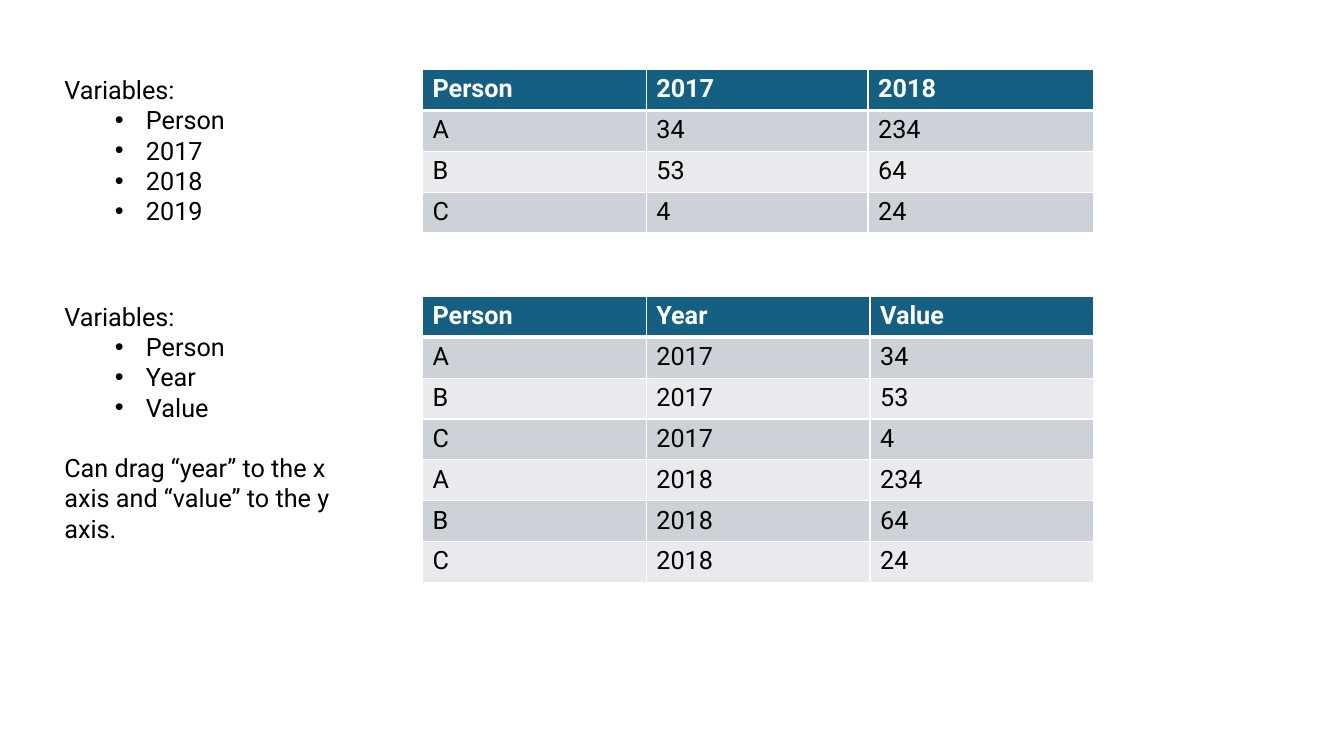
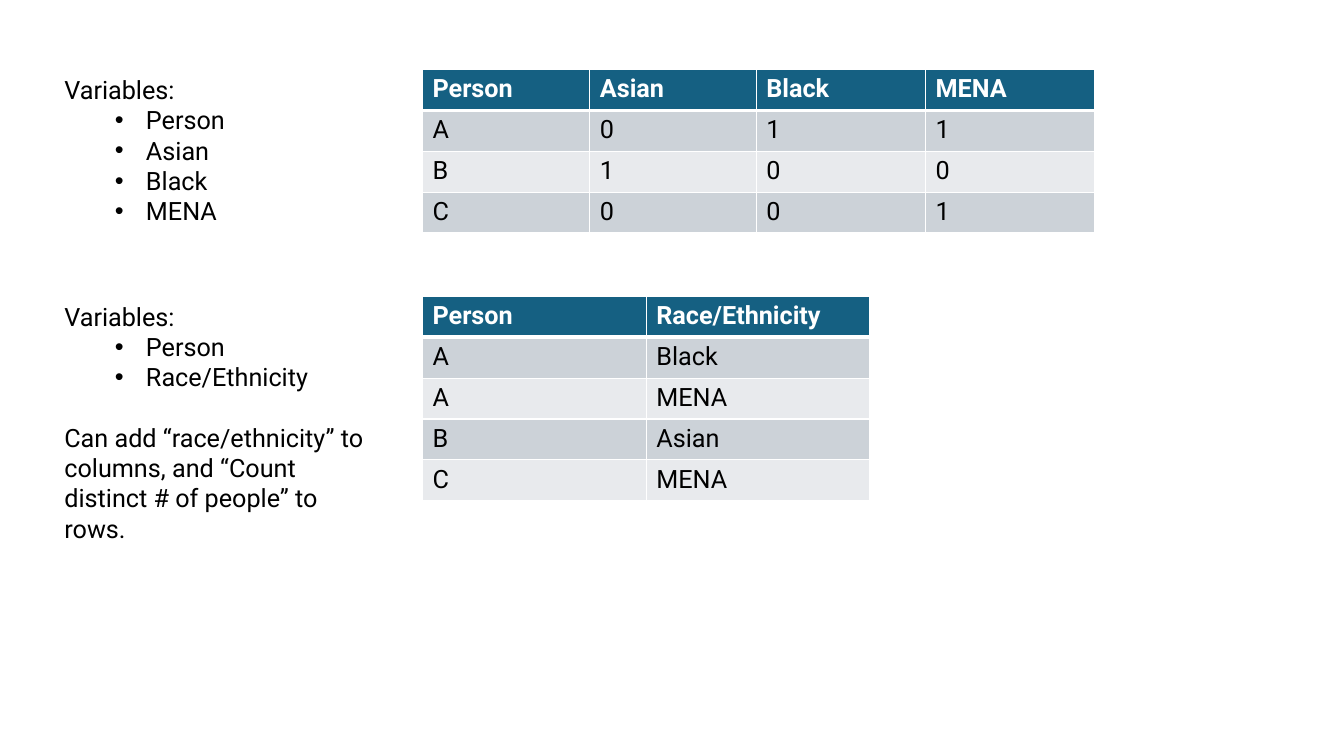
from dataclasses import dataclass
from itertools import product

from lxml import etree
from pptx import Presentation, util as u
from pptx.dml.color import RGBColor
from pptx.enum import text
from pptx.oxml.ns import qn

# Content: per slide, (variables, remark, table rows, column widths in inches)
SLIDES = [
    [
        (["Person", "2017", "2018", "2019"], None,
         [("Person", "2017", "2018"),
          ("A", "34", "234"),
          ("B", "53", "64"),
          ("C", "4", "24")],
         (2.22, 2.2, 2.24)),
        (["Person", "Year", "Value"],
         "Can drag “year” to the x axis and “value” to the y axis.",
         [("Person", "Year", "Value"),
          ("A", "2017", "34"),
          ("B", "2017", "53"),
          ("C", "2017", "4"),
          ("A", "2018", "234"),
          ("B", "2018", "64"),
          ("C", "2018", "24")],
         (2.22, 2.22, 2.22)),
    ],
    [
        (["Person", "Asian", "Black", "MENA"], None,
         [("Person", "Asian", "Black", "MENA"),
          ("A", "0", "1", "1"),
          ("B", "1", "0", "0"),
          ("C", "0", "0", "1")],
         (1.66, 1.65, 1.68, 1.68)),
        (["Person", "Race/Ethnicity"],
         "Can add “race/ethnicity” to columns, and “Count distinct # of people” to rows.",
         [("Person", "Race/Ethnicity"),
          ("A", "Black"),
          ("A", "MENA"),
          ("B", "Asian"),
          ("C", "MENA")],
         (2.22, 2.22)),
    ],
]


@dataclass(frozen=True)
class Theme:
    font: str = "Roboto"
    size: float = 18
    ink: str = "000000"
    white: str = "FFFFFF"
    header: str = "156082"
    bands: tuple = ("E8EAED", "CCD2D8")
    grid_line: float = 1
    header_line: float = 3


THEME = Theme()

# Layout: notes on the left, tables on the right, in two sections
SECTION_TOPS = (0.69, 2.94)
NOTES_LEFT, NOTES_WIDTH = 0.54, 3.24
TABLE_LEFT = 4.19
ROW_HEIGHT = u.Pt(29.2)
LINE_HEIGHT = 0.3
BULLET_INDENT, BULLET_HANG = 0.81, -0.31


def style(paragraph, color=THEME.ink, bold=False):
    font = paragraph.font
    font.name, font.size, font.bold = THEME.font, u.Pt(THEME.size), bold
    font.color.rgb = RGBColor.from_string(color)


def add_bullet(paragraph):
    props = paragraph._p.get_or_add_pPr()
    props.set("marL", str(u.Inches(BULLET_INDENT)))
    props.set("indent", str(u.Inches(BULLET_HANG)))
    # Bullet elements come before the default run properties
    for position, (tag, key, value) in enumerate(
            [("a:buFont", "typeface", "Arial"), ("a:buChar", "char", "•")]):
        bullet = etree.Element(qn(tag))
        bullet.set(key, value)
        props.insert(position, bullet)


def add_notes(slide, top, variables, remark):
    box = slide.shapes.add_textbox(
        u.Inches(NOTES_LEFT), u.Inches(top), u.Inches(NOTES_WIDTH),
        u.Inches(0.1 + LINE_HEIGHT * (len(variables) + 1)))
    frame = box.text_frame
    frame.word_wrap = True
    frame.auto_size = text.MSO_AUTO_SIZE.SHAPE_TO_FIT_TEXT
    heading = frame.paragraphs[0]
    heading.text = "Variables:"
    style(heading)
    for variable in variables:
        item = frame.add_paragraph()
        item.text = variable
        style(item)
        add_bullet(item)
    if remark:
        closing = frame.add_paragraph()
        closing.text = remark
        style(closing)
        closing.space_before = u.Pt(LINE_HEIGHT * 72)


def add_borders(cell, row):
    widths = {
        "a:lnL": THEME.grid_line,
        "a:lnR": THEME.grid_line,
        "a:lnT": THEME.header_line if row == 1 else THEME.grid_line,
        "a:lnB": THEME.header_line if row == 0 else THEME.grid_line,
    }
    props = cell._tc.get_or_add_tcPr()
    for position, (tag, width) in enumerate(widths.items()):
        line = etree.Element(qn(tag), w=str(u.Pt(width)))
        fill = etree.SubElement(line, qn("a:solidFill"))
        etree.SubElement(fill, qn("a:srgbClr"), val=THEME.white)
        props.insert(position, line)


def add_data_table(slide, top, rows, widths):
    table = slide.shapes.add_table(
        len(rows), len(widths), u.Inches(TABLE_LEFT), u.Inches(top),
        u.Inches(sum(widths)), ROW_HEIGHT * len(rows)).table
    for column, width in zip(table.columns, widths):
        column.width = u.Inches(width)
    for r, c in product(range(len(rows)), range(len(widths))):
        is_header = r == 0
        cell = table.cell(r, c)
        cell.text = rows[r][c]
        cell.fill.solid()
        cell.fill.fore_color.rgb = RGBColor.from_string(
            THEME.header if is_header else THEME.bands[r % 2])
        style(cell.text_frame.paragraphs[0],
              THEME.white if is_header else THEME.ink, is_header)
        add_borders(cell, r)


def main():
    deck = Presentation()
    deck.slide_width, deck.slide_height = u.Inches(13.33), u.Inches(7.5)
    for sections in SLIDES:
        slide = deck.slides.add_slide(deck.slide_layouts[6])
        for top, (variables, remark, rows, widths) in zip(SECTION_TOPS, sections):
            add_data_table(slide, top, rows, widths)
            add_notes(slide, top, variables, remark)
    deck.save("out.pptx")


if __name__ == "__main__":
    main()
